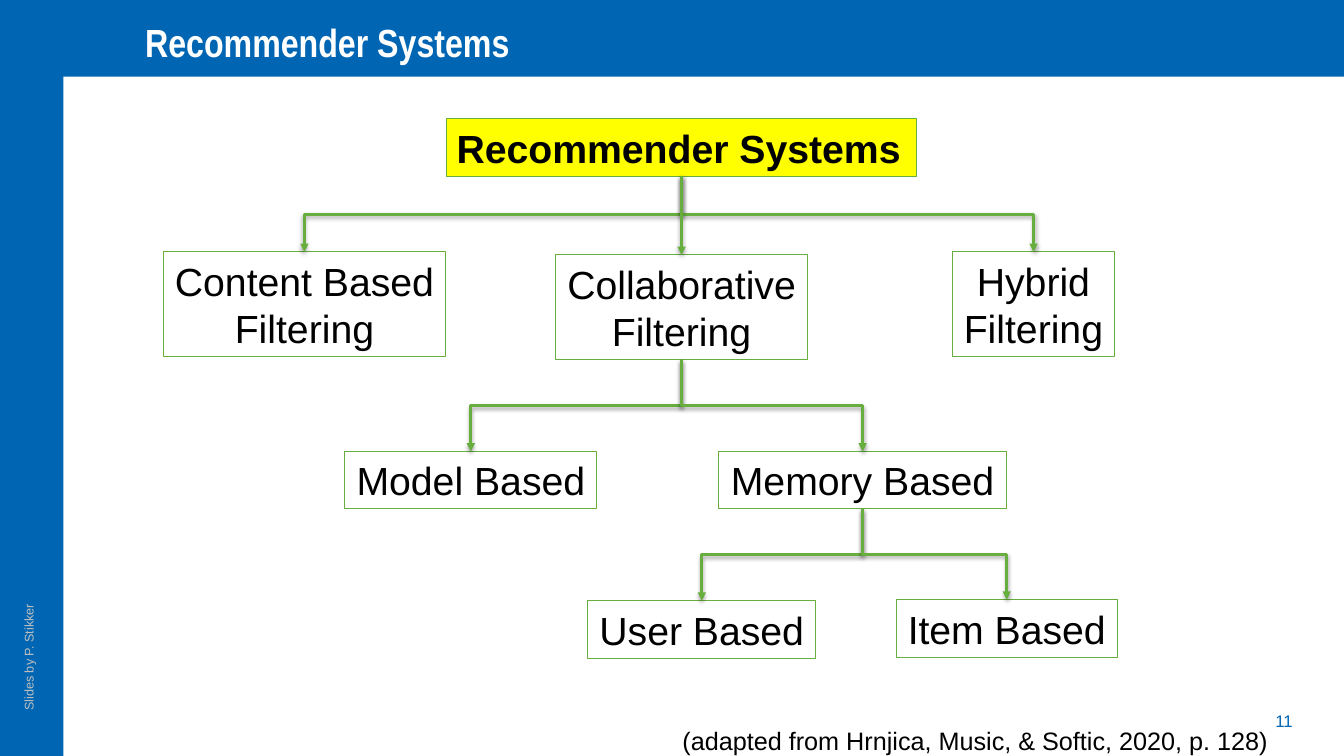
import pptx
import pptx.util
import pptx.dml.color
import pptx.enum.shapes
import pptx.enum.text
import pptx.oxml
import pptx.oxml.ns

Inches = pptx.util.Inches
Pt = pptx.util.Pt
ALIGN = pptx.enum.text.PP_ALIGN
ANCHOR = pptx.enum.text.MSO_ANCHOR
SHAPE = pptx.enum.shapes.MSO_SHAPE
CONNECTOR = pptx.enum.shapes.MSO_CONNECTOR

COLORS = {
    "blue": "0066B3",
    "white": "FFFFFF",
    "grey": "BFBFBF",
    "green": "67AE3E",
    "yellow": "FFFF00",
    "black": "000000",
}

NODES = {
    "root": ("Recommender Systems", 4.43, 1.18, 4.66, 0.57),
    "content": ("Content Based\nFiltering", 1.62, 2.5, 2.8, 1.04),
    "collaborative": ("Collaborative\nFiltering", 5.51, 2.53, 2.5, 1.04),
    "hybrid": ("Hybrid\nFiltering", 9.45, 2.5, 1.6, 1.04),
    "model": ("Model Based", 3.42, 4.48, 2.5, 0.57),
    "memory": ("Memory Based", 7.13, 4.48, 2.85, 0.57),
    "user": ("User Based", 5.83, 5.96, 2.26, 0.57),
    "item": ("Item Based", 8.89, 5.95, 2.19, 0.57),
}

BRANCHES = {
    "root": ("content", "hybrid", "collaborative"),
    "collaborative": ("model", "memory"),
    "memory": ("user", "item"),
}


def color(name):
    return pptx.dml.color.RGBColor.from_string(COLORS[name])


def paint(fill, name):
    fill.solid()
    fill.fore_color.rgb = color(name)


def write(frame, text, size, ink, align=ALIGN.LEFT, anchor=ANCHOR.TOP,
          bold=False, font="Arial", wrap=True):
    frame.text = text
    frame.word_wrap = wrap
    frame.auto_size = pptx.enum.text.MSO_AUTO_SIZE.NONE
    frame.vertical_anchor = anchor
    for paragraph in frame.paragraphs:
        paragraph.alignment = align
        for run in paragraph.runs:
            run.font.name = font
            run.font.size = Pt(size)
            run.font.bold = bold
            run.font.color.rgb = color(ink)


def add_label(slide, text, box, size, ink, **layout):
    label = slide.shapes.add_textbox(*map(Inches, box))
    write(label.text_frame, text, size, ink, **layout)
    return label


def add_rectangle(slide, box):
    rectangle = slide.shapes.add_shape(SHAPE.RECTANGLE, *map(Inches, box))
    rectangle.shadow.inherit = False
    return rectangle


def add_panel(slide, box):
    panel = add_rectangle(slide, box)
    paint(panel.fill, "white")
    panel.line.fill.background()


def add_node(slide, text, *box, highlighted=False):
    node = add_rectangle(slide, box)
    if highlighted:
        paint(node.fill, "yellow")
    else:
        node.fill.background()
    node.line.color.rgb = color("green")
    node.line.width = Pt(0.75)
    write(node.text_frame, text, 28, "black", bold=highlighted,
          align=ALIGN.LEFT if highlighted else ALIGN.CENTER,
          anchor=ANCHOR.MIDDLE, wrap=False)
    return node


def style_arrow(arrow):
    arrow.line.color.rgb = color("green")
    arrow.line.width = Pt(2)
    ns = pptx.oxml.ns.nsdecls("a")
    arrow.line._get_or_add_ln().append(
        pptx.oxml.parse_xml(f'<a:tailEnd {ns} type="triangle"/>'))
    arrow.element.spPr.append(pptx.oxml.parse_xml(
        f'<a:effectLst {ns}><a:outerShdw blurRad="40000" dist="20000" '
        f'dir="5400000" rotWithShape="0"><a:srgbClr val="{COLORS["black"]}">'
        '<a:alpha val="38000"/></a:srgbClr></a:outerShdw></a:effectLst>'))


def add_branch(slide, parent, child):
    start_x = parent.left + parent.width // 2
    start_y = parent.top + parent.height
    end_x = child.left + child.width // 2
    run, drop = end_x - start_x, child.top - start_y
    straight = abs(run) < Inches(0.02)
    kind = CONNECTOR.STRAIGHT if straight else CONNECTOR.ELBOW
    arrow = slide.shapes.add_connector(kind, start_x, start_y, end_x, child.top)
    arrow.begin_connect(parent, 2)
    arrow.end_connect(child, 0)
    if not straight:
        arrow.width, arrow.height = drop, abs(run)
        arrow.left = (start_x + end_x - drop) // 2
        arrow.top = (start_y + child.top - abs(run)) // 2
        xfrm = arrow.element.spPr.xfrm
        xfrm.rot = 270 if run > 0 else 90
        xfrm.flipH = run > 0
    style_arrow(arrow)


def add_title(slide, text):
    title = slide.shapes.title
    title.left, title.top, title.width, title.height = map(
        Inches, (1.34, 0.07, 11.25, 0.69))
    write(title.text_frame, text, 28, "white", anchor=ANCHOR.MIDDLE,
          bold=True, font="Arial Narrow")


def main():
    deck = pptx.Presentation()
    deck.slide_width, deck.slide_height = Inches(13.33), Inches(7.5)
    slide = deck.slides.add_slide(deck.slide_layouts[5])
    paint(slide.background.fill, "blue")

    add_panel(slide, (0.63, 0.76, 12.7, 6.74))
    author = add_label(slide, "Slides by P. Stikker", (-0.36, 6.38, 1.29, 0.25),
                       9, "grey", wrap=False)
    author.rotation = 270
    add_label(slide, "11", (9.81, 6.95, 3.11, 0.4), 12, "blue",
              align=ALIGN.RIGHT, anchor=ANCHOR.MIDDLE)
    add_title(slide, "Recommender Systems")

    nodes = {key: add_node(slide, *node, highlighted=key == "root")
             for key, node in NODES.items()}
    for parent, children in BRANCHES.items():
        for child in children:
            add_branch(slide, nodes[parent], nodes[child])

    add_label(slide, "(adapted from Hrnjica, Music, & Softic, 2020, p. 128)",
              (6.67, 7.15, 6.06, 0.4), 18, "black")
    deck.save("out.pptx")


if __name__ == "__main__":
    main()
